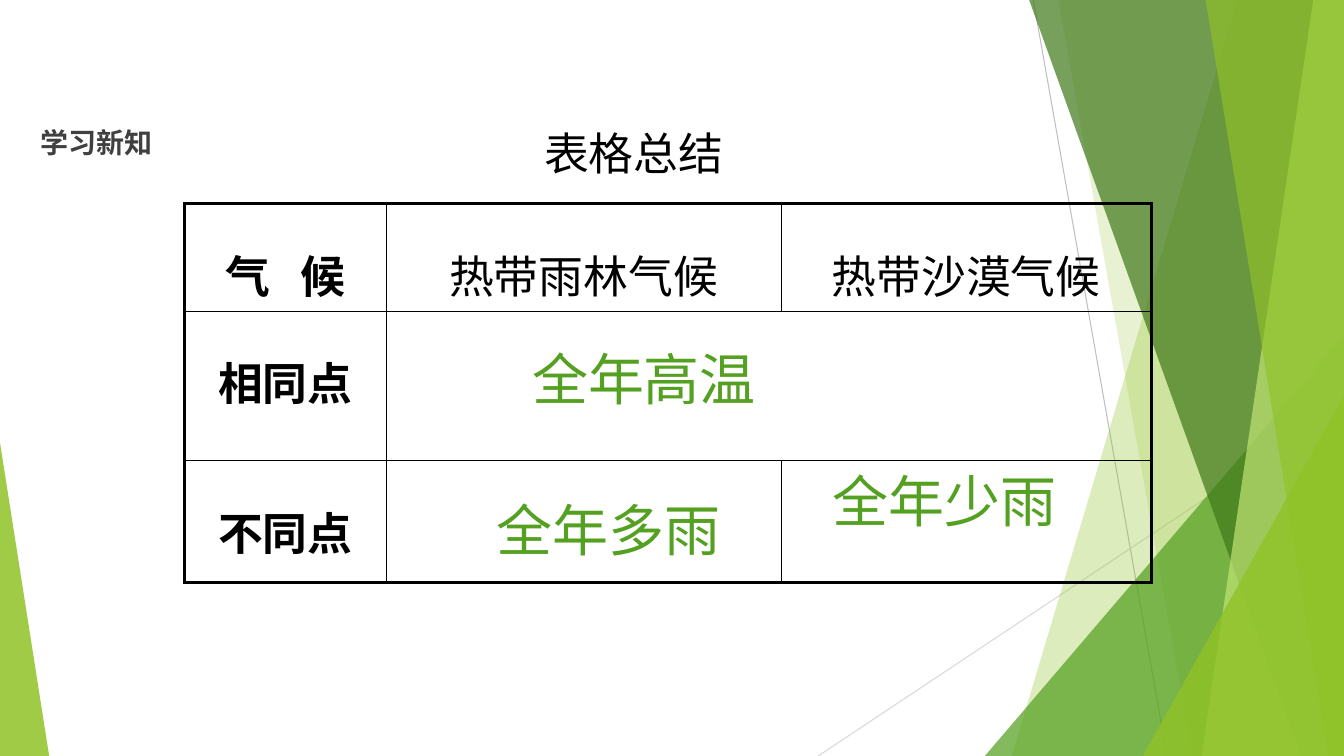
from lxml import etree
from pptx import Presentation, util as u
from pptx.dml.color import RGBColor
from pptx.enum import shapes, text
from pptx.oxml.ns import qn

Cm = u.Cm
FONT = "Noto Sans CJK SC"
W, H = 33.87, 19.05


def hue(code):
    return RGBColor.from_string(code)


def style(para, size, color, bold=False):
    font = para.font
    font.size, font.bold, font.name = u.Pt(size), bold, FONT
    font.color.rgb = hue(color)
    etree.SubElement(font._element, qn("a:ea"), typeface=FONT)


deck = Presentation()
deck.slide_width, deck.slide_height = Cm(W), Cm(H)
slide = deck.slides.add_slide(deck.slide_layouts[5])
items = slide.shapes

# Thin background lines
for x1, y1, x2, y2, color in [(26.04, 0, 29.41, H, "BFBFBF"),
                              (W, 10.24, 20.62, H, "D9D9D9")]:
    line = items.add_connector(shapes.MSO_CONNECTOR.STRAIGHT,
                               Cm(x1), Cm(y1), Cm(x2), Cm(y2))
    line.line.width = u.Pt(0.75)
    line.line.color.rgb = hue(color)
    etree.SubElement(line._element.spPr, qn("a:effectLst"))

# Green facets: bands give top and bottom x and run to the right edge,
# triangles give left, top, width and the side of the tip
facets = [
    ((31.19, 25.5), "90C226", 30),
    ((26.67, 30.05), "90C226", 20),
    ((24.82, 8.46, 9.05, 1), "54A021", 72),
    ((25.93, 32.79), "3F7819", 70),
    ((33.1, 30.28), "C0E474", 70),
    ((30.38, 33.48), "90C226", 65),
    ((28.8, 9.98, 5.07, 1), "90C226", 80),
    ((0, 11.15, 1.24, 0), "90C226", 85),
]
for place, color, alpha in facets:
    if len(place) == 2:
        top, base = place
        pen = items.build_freeform(Cm(top), Cm(-0.02))
        pen.add_line_segments([(Cm(W), Cm(-0.02)), (Cm(W), Cm(H)),
                               (Cm(base), Cm(H))])
        facet = pen.convert_to_shape()
    else:
        x, y, wide, tip = place
        facet = items.add_shape(shapes.MSO_SHAPE.ISOSCELES_TRIANGLE,
                                Cm(x), Cm(y), Cm(wide), Cm(H - y))
        facet.adjustments[0] = tip
    facet.shadow.inherit = False
    facet.line.fill.background()
    facet.fill.solid()
    facet.fill.fore_color.rgb = hue(color)
    tint = facet._element.spPr.find(".//" + qn("a:srgbClr"))
    etree.SubElement(tint, qn("a:alpha"), val=str(alpha * 1000))

# Title
title = items.title
title.left, title.top, title.width, title.height = (
    Cm(13.46), Cm(3.05), Cm(5.84), Cm(1.63))
title.text_frame.text = "表格总结"
title.text_frame.vertical_anchor = text.MSO_ANCHOR.TOP
head = title.text_frame.paragraphs[0]
head.alignment = text.PP_ALIGN.LEFT
style(head, 32, "000000")

# Climate table
rows = [["气 候", "热带雨林气候", "热带沙漠气候"],
        ["相同点", "", ""],
        ["不同点", "", ""]]
table = items.add_table(3, 3, Cm(4.65), Cm(5.13), Cm(24.36), Cm(9.34)).table
table.first_row = table.horz_banding = False
for col, wide in zip(table.columns, [5.08, 9.96, 9.32]):
    col.width = Cm(wide)
for row, tall in zip(table.rows, [2.51, 3.76, 3.07]):
    row.height = Cm(tall)
table.cell(1, 1).merge(table.cell(1, 2))

for r, words in enumerate(rows):
    for c, word in enumerate(words):
        cell = table.cell(r, c)
        cell.fill.background()
        if cell.is_spanned:
            continue
        if word:
            cell.text = word
            para = cell.text_frame.paragraphs[0]
            para.alignment = text.PP_ALIGN.CENTER
            para.line_spacing = 1.5
            style(para, 32, "000000", c == 0)
        # Thick outer frame, thin inner rules
        outer = {"L": c == 0, "R": c + cell.span_width == 3,
                 "T": r == 0, "B": r == 2}
        props = cell._tc.get_or_add_tcPr()
        for i, (side, thick) in enumerate(outer.items()):
            edge = etree.Element(qn("a:ln" + side),
                                 w=str(u.Pt(2.25 if thick else 1)))
            fill = etree.SubElement(edge, qn("a:solidFill"))
            etree.SubElement(fill, qn("a:srgbClr"), val="000000")
            props.insert(i, edge)

# Widen the gap in the first heading
para = table.cell(0, 0).text_frame.paragraphs[0]
lead = para.runs[0]
lead.text = "气 "
lead._r.get_or_add_rPr().set("spc", "700")
para.add_run().text = "候"

# Answers and section label
notes = [
    ("全年高温", 13.16, 8.56, 6.22, 1.96, 40, "54A021", False),
    ("全年多雨", 12.27, 12.37, 6.22, 1.96, 40, "54A021", False),
    ("全年少雨", 20.73, 11.63, 6.22, 3.68, 40, "54A021", False),
    ("学习新知", 0.76, 3.05, 3.35, 1.12, 20, "404040", True),
]
for word, x, y, wide, tall, size, color, bold in notes:
    frame = items.add_textbox(Cm(x), Cm(y), Cm(wide), Cm(tall)).text_frame
    frame.word_wrap = False
    frame.text = word
    style(frame.paragraphs[0], size, color, bold)

deck.save("out.pptx")
